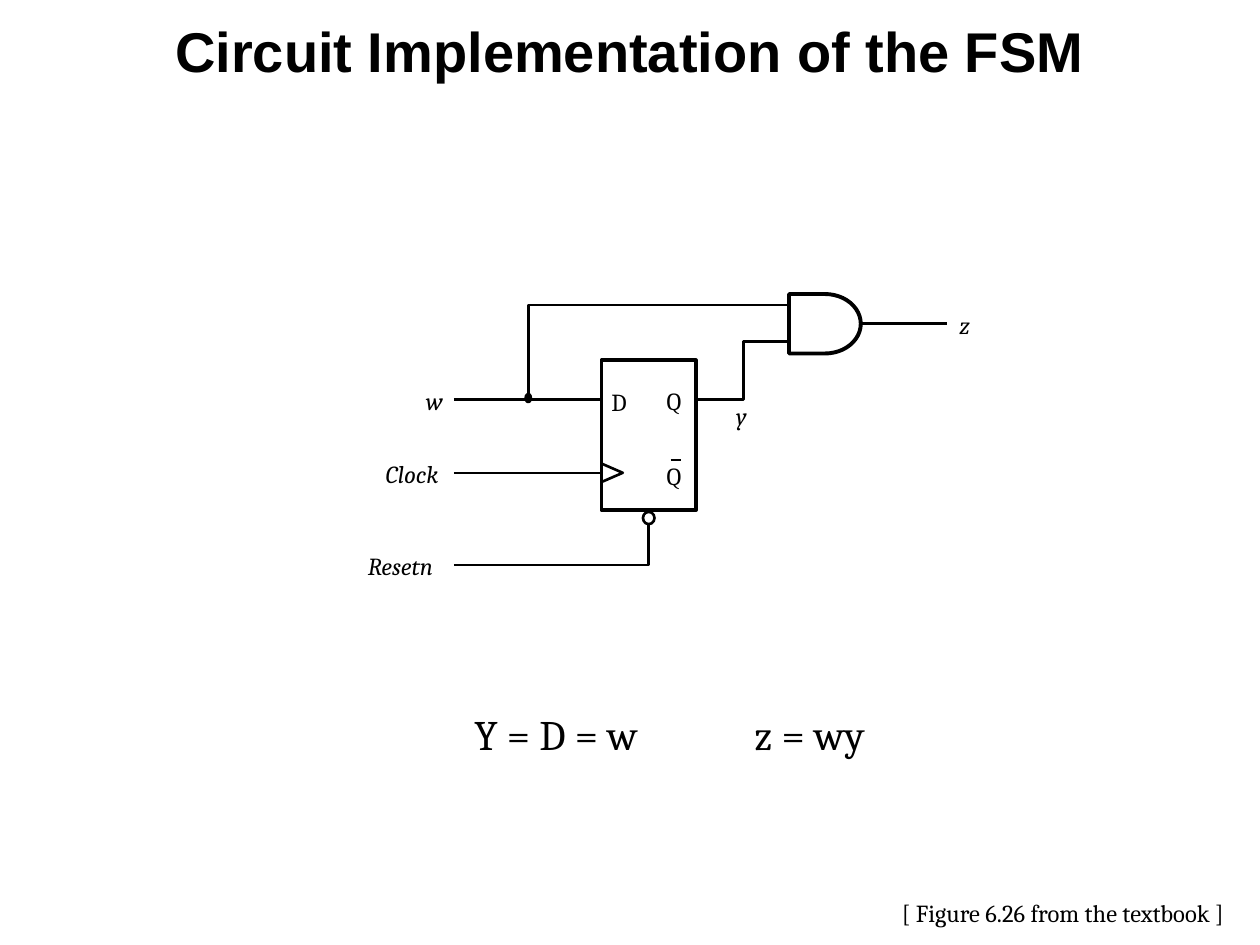
from pptx import Presentation
from pptx.dml.color import RGBColor
from pptx.enum.shapes import MSO_CONNECTOR, MSO_SHAPE
from pptx.enum.text import MSO_ANCHOR, PP_ALIGN
from pptx.oxml.ns import qn
from pptx.util import Pt
from lxml import etree

BLACK = RGBColor(0, 0, 0)
WHITE = RGBColor(255, 255, 255)
THIN, THICK = 1.5, 2.25


def set_line(shape, weight):
    shape.line.color.rgb = BLACK
    shape.line.width = Pt(weight)


def add_title(page, text, left, top, width, height):
    title = page.shapes.title
    title.left, title.top, title.width, title.height = map(Pt, (left, top, width, height))
    frame = title.text_frame
    frame.text = text
    frame.vertical_anchor = MSO_ANCHOR.TOP
    para = frame.paragraphs[0]
    para.alignment = PP_ALIGN.CENTER
    para.font.name, para.font.size, para.font.bold = "Arial", Pt(32), True
    para.font.color.rgb = BLACK


def add_text(page, text, left, top, width, height, size=14, italic=False, inset=True):
    box = page.shapes.add_textbox(*map(Pt, (left, top, width, height)))
    frame = box.text_frame
    frame.word_wrap = True
    if not inset:
        frame.margin_left = frame.margin_right = 0
        frame.margin_top = frame.margin_bottom = 0
    para = frame.paragraphs[0]
    para.text = text
    para.font.name, para.font.size, para.font.italic = "Cambria", Pt(size), italic
    para.font.color.rgb = BLACK


def add_part(page, kind, left, top, width, height, weight=THIN, fill=WHITE):
    part = page.shapes.add_shape(kind, *map(Pt, (left, top, width, height)))
    part.shadow.inherit = False
    part.fill.solid()
    part.fill.fore_color.rgb = fill
    set_line(part, weight)
    return part


def add_wire(page, x1, y1, x2, y2):
    wire = page.shapes.add_connector(MSO_CONNECTOR.STRAIGHT, *map(Pt, (x1, y1, x2, y2)))
    set_line(wire, THIN)
    etree.SubElement(wire.line._get_or_add_ln().getparent(), qn("a:effectLst"))
    return wire


def add_bent_wire(page, left, top, points):
    corners = [(Pt(left + x), Pt(top + y)) for x, y in points]
    builder = page.shapes.build_freeform(*corners[0])
    builder.add_line_segments(corners[1:], close=False)
    wire = builder.convert_to_shape()
    wire.shadow.inherit = False
    wire.fill.background()
    set_line(wire, THIN)


def add_circuit(page, left, top):
    # Levels and columns inside the circuit box
    input_x, branch_x, data_y, clock_y, reset_y = 49.2, 91.7, 60.2, 102.2, 154.8
    flop_x, flop_y, flop_width, flop_height = 133.5, 38, 54, 85.5
    flop_right, flop_bottom = flop_x + flop_width, flop_y + flop_height
    reset_x = flop_x + flop_width / 2
    gate_x, gate_width, gate_height = 240.7, 41, 34

    # Input wires and the junction on w
    for y in (data_y, clock_y):
        add_wire(page, left + input_x, top + y, left + flop_x, top + y)
    add_part(page, MSO_SHAPE.OVAL, left + branch_x - 1.5, top + data_y - 3,
             3, 4.5, fill=BLACK)

    # Bent wires: reset, w to the gate, y to the gate
    for points in (
        [(input_x, reset_y), (reset_x, reset_y), (reset_x, flop_bottom)],
        [(gate_x, 6.2), (branch_x, 6.2), (branch_x, data_y)],
        [(gate_x, 27.2), (214.8, 27.2), (214.8, data_y), (flop_right, data_y)],
    ):
        add_bent_wire(page, left, top, points)

    # Flip-flop with clock edge mark, reset bubble and bar over Q
    add_part(page, MSO_SHAPE.RECTANGLE, left + flop_x, top + flop_y,
             flop_width, flop_height, THICK)
    add_bent_wire(page, left, top, [(flop_x, clock_y + 5.3), (flop_x + 12.2, clock_y),
                                    (flop_x, clock_y - 5.3)])
    add_part(page, MSO_SHAPE.OVAL, left + reset_x - 3.3, top + flop_bottom + 1, 6.6, 7)
    add_wire(page, left + 173, top + 94.8, left + 178.8, top + 94.8)

    # AND gate and its output
    gate = add_part(page, MSO_SHAPE.FLOWCHART_DELAY, left + gate_x, top,
                    gate_width, gate_height, THICK)
    output = add_wire(page, left + gate_x + gate_width, top + gate_height / 2,
                      left + 330.7, top + gate_height / 2)
    output.begin_connect(gate, 3)

    # Labels: signals in italics, flip-flop pins upright
    for text, x, y, italic in (
        ("w", 33.2, 52.4, True), ("Clock", 10.2, 94.2, True), ("Resetn", 0, 146.8, True),
        ("D", 139.2, 53.2, False), ("Q", 170.8, 52.4, False), ("Q", 170.8, 95.6, False),
        ("z", 338, 9.2, True), ("y", 210.4, 61, True),
    ):
        add_text(page, text, left + x, top + y, 43 if len(text) > 1 else 19, 19,
                 italic=italic, inset=False)


def add_equations(page, left, top):
    add_text(page, "Y = D = w", left, top, 119, 37, size=24)
    add_text(page, "z = wy", left + 160, top, 81, 37, size=24)


def main():
    deck = Presentation()
    deck.slide_width, deck.slide_height = Pt(720), Pt(540)
    page = deck.slides.add_slide(deck.slide_layouts[5])
    add_title(page, "Circuit Implementation of the FSM", 0, 6, 720, 54)
    add_circuit(page, 210.2, 168)
    add_equations(page, 264, 401.5)
    add_text(page, "[ Figure 6.26 from the textbook ]", 508.3, 509.8, 201, 24.5)
    deck.save("out.pptx")


if __name__ == "__main__":
    main()
